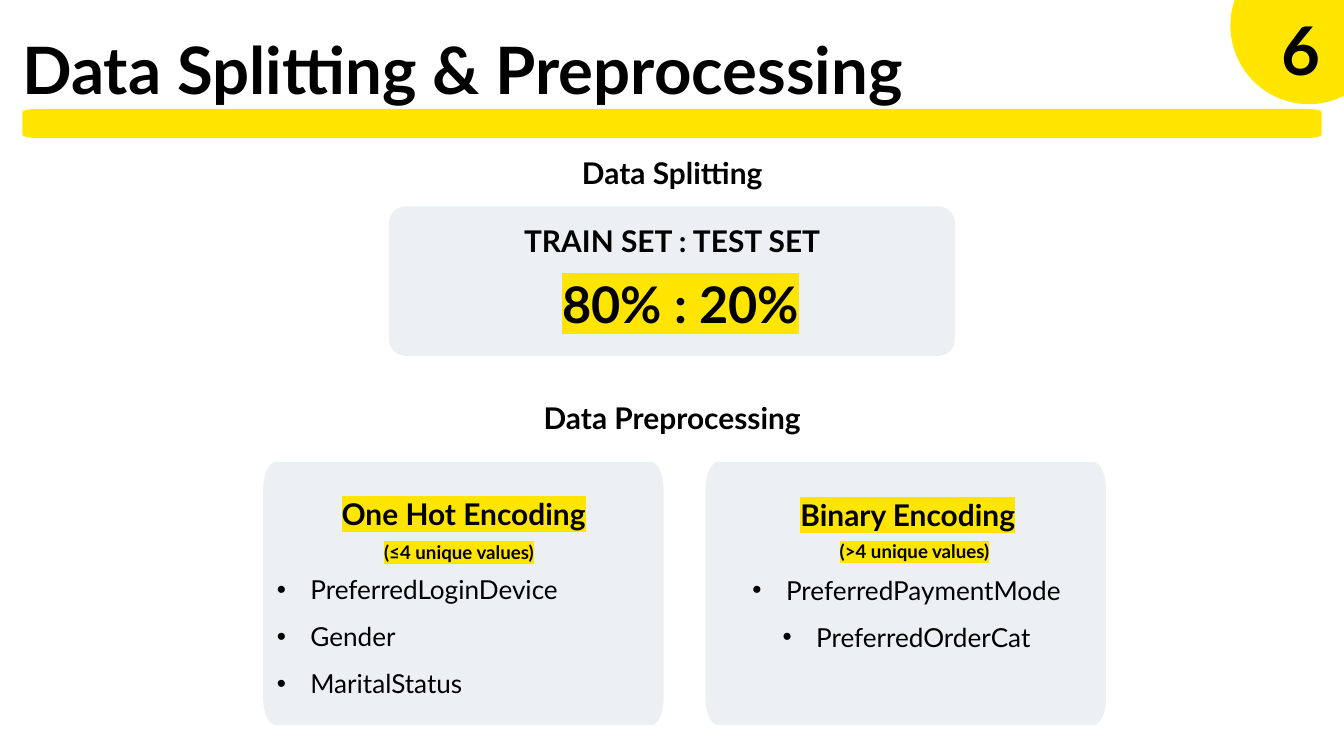
from math import cos, pi, sin
from lxml.etree import SubElement
from pptx import Presentation
from pptx.dml.color import RGBColor as RGB
from pptx.enum.shapes import MSO_SHAPE as SHAPE
from pptx.enum.text import MSO_AUTO_SIZE as FIT, PP_ALIGN as ALIGN
from pptx.oxml import parse_xml
from pptx.oxml.ns import nsdecls, qn
from pptx.util import Pt

YELLOW = RGB(0xFF, 0xE5, 0x00)
GREY = RGB(0xED, 0xF0, 0xF2)
BLACK = RGB(0x00, 0x00, 0x00)
FONT = "Lato"
STEPS = 8
HEAD = {"size": 32, "bold": True, "gap": 0.67}
NOTE = {"size": 20, "bold": True, "gap": 1.07}
ITEM = {"size": 28, "bold": False, "gap": 1.5}


def paint(shape, color):
    """Give a shape a plain fill with no line or shadow."""
    shape.shadow.inherit = False
    shape.fill.solid()
    shape.fill.fore_color.rgb = color
    shape.line.fill.background()


def add_plate(slide, box, radii, color):
    """Draw a rectangle whose corners are quarter ellipses."""
    x, y, w, h = box
    rx, ry = radii
    hubs = [(x + w - rx, y + h - ry), (x + rx, y + h - ry),
            (x + rx, y + ry), (x + w - rx, y + ry)]
    dots = []
    for turn, (cx, cy) in enumerate(hubs):
        for step in range(STEPS + 1):
            angle = (turn + step / STEPS) * pi / 2
            dots.append((Pt(cx + rx * cos(angle)), Pt(cy + ry * sin(angle))))
    pen = slide.shapes.build_freeform(*dots[0], scale=1.0)
    pen.add_line_segments(dots[1:], close=True)
    paint(pen.convert_to_shape(), color)


def add_disc(slide, box, color):
    """Draw a plain ellipse."""
    paint(slide.shapes.add_shape(SHAPE.OVAL, *map(Pt, box)), color)


def mark(run, color):
    """Highlight a run that already has a font colour."""
    fill = run.font._element.find(qn("a:solidFill"))
    fill.addnext(parse_xml(
        f'<a:highlight {nsdecls("a")}><a:srgbClr val="{color}"/></a:highlight>'))


def add_dot(para):
    """Turn a paragraph into a bullet with a hanging indent."""
    props = para._p.get_or_add_pPr()
    props.set("marL", str(Pt(36)))
    props.set("indent", str(-Pt(36)))
    tint = SubElement(props, qn("a:buClr"))
    SubElement(tint, qn("a:srgbClr"), val=str(BLACK))
    SubElement(props, qn("a:buFont"), typeface="Arial")
    SubElement(props, qn("a:buChar"), char="•")


def add_text(slide, box, lines, style, align=ALIGN.CENTER, glow=False, dots=False):
    """Write lines of text in a box without margins."""
    frame = slide.shapes.add_textbox(*map(Pt, box)).text_frame
    sides = {f"margin_{side}": 0 for side in ("left", "top", "right", "bottom")}
    for key, value in {**sides, "word_wrap": True,
                       "auto_size": FIT.SHAPE_TO_FIT_TEXT}.items():
        setattr(frame, key, value)
    for index, line in enumerate(lines):
        para = frame.add_paragraph() if index else frame.paragraphs[0]
        para.alignment = align
        para.line_spacing = style["gap"]
        if dots:
            add_dot(para)
        run = para.add_run()
        run.text = line
        for key, value in {"name": FONT, "size": Pt(style["size"]),
                           "bold": style["bold"]}.items():
            setattr(run.font, key, value)
        run.font.color.rgb = BLACK
        if glow:
            mark(run, YELLOW)


def add_card(slide, left, head, note, items):
    """Draw one encoding card from (text, left, top) parts and a list."""
    add_plate(slide, (left, 495, 429, 282), (13.5, 28.5), GREY)
    for (text, x, y), high, style in ((head, 25, HEAD), (note, 26, NOTE)):
        add_text(slide, (x, y, 396, high), [text], style, glow=True)
    lines, x, y, align = items
    add_text(slide, (x, y, 396, 49.5 * len(lines)), lines, ITEM, align, dots=True)


def main():
    """Build the slide and save it."""
    deck = Presentation()
    deck.slide_width, deck.slide_height = Pt(1440), Pt(810)
    slide = deck.slides.add_slide(deck.slide_layouts[6])

    add_plate(slide, (24, 116.8, 1392, 31), (14.4, 3.6), YELLOW)
    add_text(slide, (24, 23, 1263, 78.5), ["Data Splitting & Preprocessing"],
             {"size": 70, "bold": True, "gap": 1.1}, ALIGN.LEFT)
    add_disc(slide, (1318.3, -57, 168, 168.6), YELLOW)
    add_text(slide, (1344.2, 33, 100, 59), ["6"],
             {"size": 72, "bold": True, "gap": 0.7})

    add_plate(slide, (417, 221, 606, 160.4), (19.4, 16.5), GREY)
    for text, top in (("Data Splitting", 177), ("TRAIN SET : TEST SET", 250.5),
                      ("Data Preprocessing", 440)):
        add_text(slide, (447.3, top, 546, 25), [text], HEAD)
    add_text(slide, (447.3, 325.4, 564, 31.7), ["80% : 20%"],
             {"size": 54, "bold": True, "gap": 0.4}, glow=True)

    add_card(slide, 282, ("One Hot Encoding", 298.8, 542.2),
             ("(≤4 unique values)", 293.8, 577.9),
             (["PreferredLoginDevice", "Gender", "MaritalStatus"],
              296.6, 597.6, ALIGN.LEFT))
    add_card(slide, 756, ("Binary Encoding", 774.7, 543.6),
             ("(>4 unique values)", 781.9, 577.2),
             (["PreferredPaymentMode", "PreferredOrderCat"],
              773.3, 598.3, ALIGN.CENTER))
    deck.save("out.pptx")


if __name__ == "__main__":
    main()
